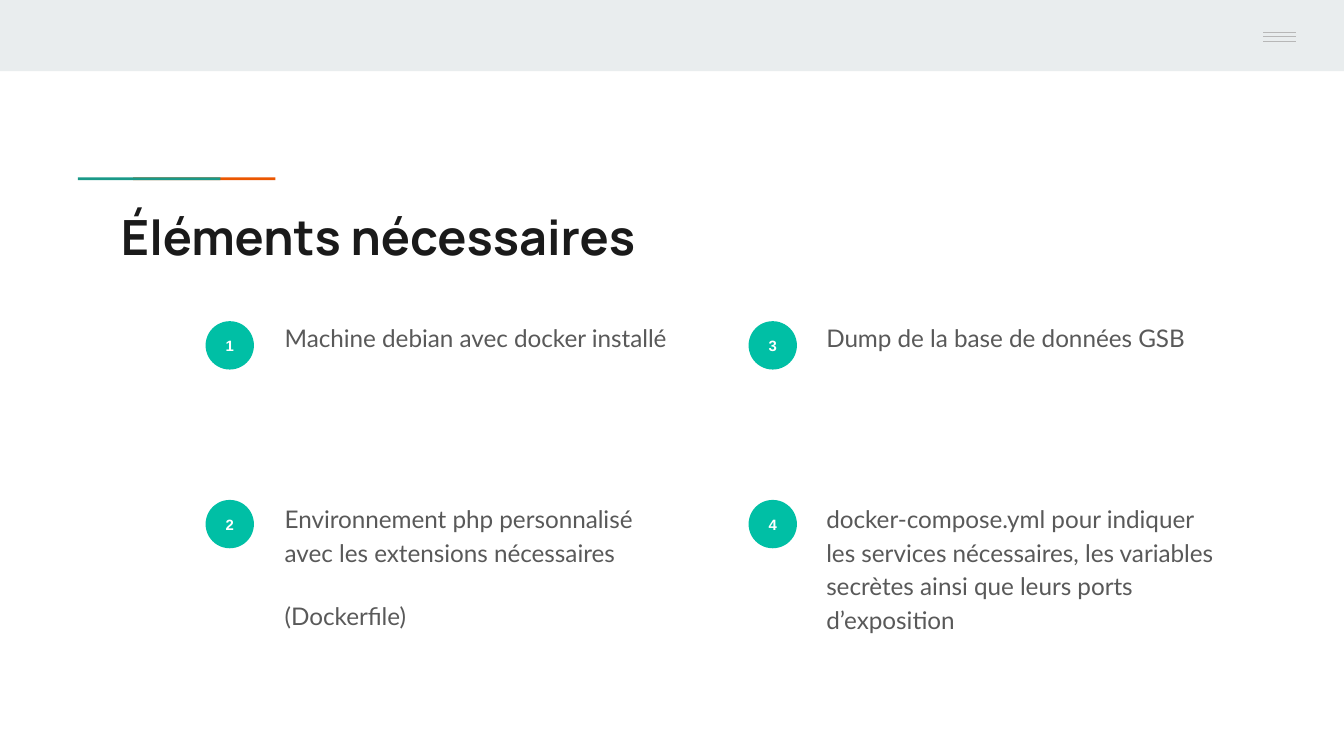
from dataclasses import dataclass

from lxml.etree import SubElement
from pptx import Presentation
from pptx.dml.color import RGBColor
from pptx.enum.shapes import MSO_CONNECTOR as Connector, MSO_SHAPE as Shape
from pptx.enum.text import MSO_ANCHOR as Anchor, MSO_AUTO_SIZE as AutoSize, PP_ALIGN as Align
from pptx.oxml.ns import qn
from pptx.util import Inches, Pt

BAND = "E9EDEE"
TEAL = "1A9988"
ORANGE = "EB5600"
BADGE = "00BFA5"
MENU = "B7B7B7"
HEADING = "1A1A1A"
BODY = "595959"
WHITE = "FFFFFF"

SLIDE_WIDTH = 10
SLIDE_HEIGHT = SLIDE_WIDTH * 9 / 16
BADGE_SIZE = 0.36
BADGE_COLUMNS = (1.53, 5.57)
TEXT_COLUMNS = (2.02, 6.05)
BADGE_ROWS = (2.39, 3.72)
TEXT_ROWS = (2.27, 3.62)


@dataclass(frozen=True)
class Requirement:
    number: int
    paragraphs: tuple[str, ...]


REQUIREMENTS = (
    Requirement(1, ("Machine debian avec docker installé",)),
    Requirement(2, ("Environnement php personnalisé avec les extensions nécessaires", "(Dockerfile)")),
    Requirement(3, ("Dump de la base de données GSB",)),
    Requirement(4, ("docker-compose.yml pour indiquer les services nécessaires, "
                    "les variables secrètes ainsi que leurs ports d’exposition",)),
)


def color(value: str) -> RGBColor:
    return RGBColor.from_string(value)


def write(shape, *paragraphs: str, font: str, size: float, fill: str, bold: bool = False,
          align=Align.LEFT, anchor=Anchor.TOP, inset: float = 0.1,
          line_spacing: float = 1.0, gap: float = 0) -> None:
    frame = shape.text_frame
    frame.word_wrap = True
    frame.auto_size = AutoSize.NONE
    frame.vertical_anchor = anchor
    frame.margin_left = frame.margin_right = Inches(inset)
    frame.margin_top = frame.margin_bottom = Inches(inset)
    for index, text in enumerate(paragraphs):
        paragraph = frame.add_paragraph() if index else frame.paragraphs[0]
        paragraph.text = text
        paragraph.alignment = align
        paragraph.line_spacing = line_spacing
        paragraph.space_before = Pt(gap if index else 0)
        paragraph.space_after = Pt(0)
        paragraph.font.name = font
        paragraph.font.size = Pt(size)
        paragraph.font.bold = bold
        paragraph.font.color.rgb = color(fill)


def add_filled(slide, kind, left: float, top: float, width: float, height: float, fill: str):
    shape = slide.shapes.add_shape(kind, Inches(left), Inches(top), Inches(width), Inches(height))
    shape.shadow.inherit = False
    shape.fill.solid()
    shape.fill.fore_color.rgb = color(fill)
    shape.line.fill.background()
    return shape


def add_menu_line(slide, top: float) -> None:
    line = slide.shapes.add_connector(
        Connector.STRAIGHT, Inches(9.4), Inches(top), Inches(9.64), Inches(top))
    line.line.color.rgb = color(MENU)
    line.line.width = Pt(0.75)
    SubElement(line._element.spPr, qn("a:effectLst"))


def add_requirement(slide, requirement: Requirement) -> None:
    column, row = divmod(requirement.number - 1, len(BADGE_ROWS))
    badge = add_filled(slide, Shape.OVAL, BADGE_COLUMNS[column], BADGE_ROWS[row],
                       BADGE_SIZE, BADGE_SIZE, BADGE)
    write(badge, str(requirement.number), font="Arial", size=8, fill=WHITE, bold=True,
          align=Align.CENTER, anchor=Anchor.MIDDLE, inset=0)
    description = slide.shapes.add_textbox(
        Inches(TEXT_COLUMNS[column]), Inches(TEXT_ROWS[row]), Inches(3.1), Inches(1.15))
    write(description, *requirement.paragraphs, font="Lato", size=13, fill=BODY,
          line_spacing=1.15, gap=16)


def main() -> None:
    deck = Presentation()
    deck.slide_width = Inches(SLIDE_WIDTH)
    deck.slide_height = Inches(SLIDE_HEIGHT)
    slide = deck.slides.add_slide(deck.slide_layouts[5])

    add_filled(slide, Shape.RECTANGLE, 0, 0, SLIDE_WIDTH, 0.53, BAND)
    for top in (0.24, 0.27, 0.31):
        add_menu_line(slide, top)
    for left, fill in ((0.99, ORANGE), (0.58, TEAL)):
        add_filled(slide, Shape.RECTANGLE, left, 1.32, 1.06, 0.02, fill)

    title = slide.shapes.title
    title.left, title.top = Inches(0.8), Inches(1.44)
    title.width, title.height = Inches(8.41), Inches(0.59)
    write(title, "Éléments nécessaires", font="Manrope", size=26, fill=HEADING, bold=True)

    for requirement in REQUIREMENTS:
        add_requirement(slide, requirement)

    deck.save("out.pptx")


if __name__ == "__main__":
    main()
